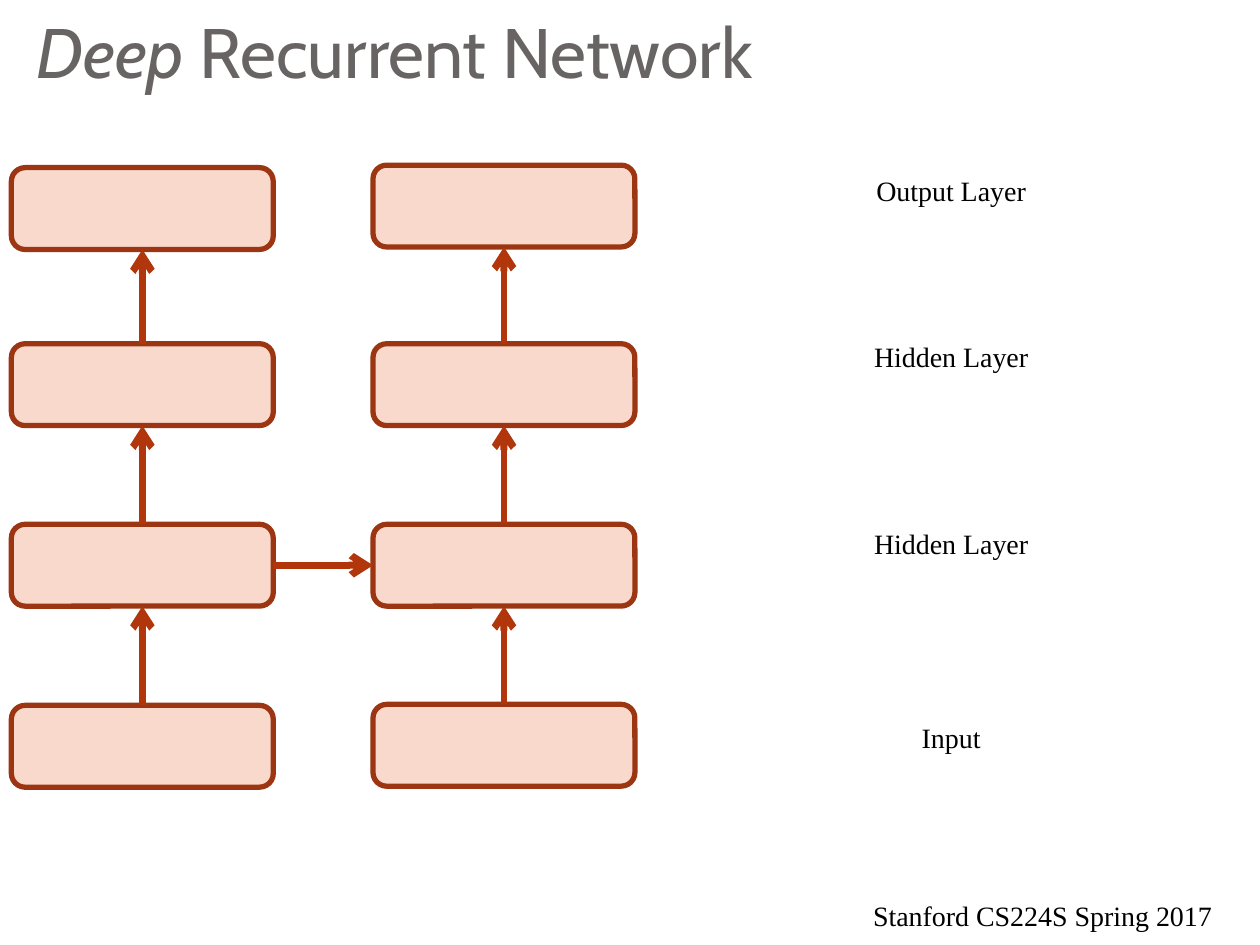
from itertools import pairwise
from lxml.etree import SubElement
from pptx import Presentation
from pptx.dml.color import RGBColor as RGB
from pptx.enum.shapes import MSO_CONNECTOR as LINK, MSO_SHAPE as SHAPE
from pptx.enum.text import MSO_ANCHOR as ANCHOR, MSO_AUTO_SIZE as FIT, PP_ALIGN as ALIGN
from pptx.oxml.ns import qn
from pptx.util import Cm, Pt

COLORS = {"title": "696464", "text": "000000", "fill": "FAD9CD",
          "edge": "9C3511", "arrow": "B1360B"}
TITLE = {"name": "Cabin", "size": Pt(40), "bold": False}
LABEL = {"name": "Times New Roman", "size": Pt(16)}

# Layer boxes: left edge and tops of each column, output first
WIDE, HIGH = 5.28, 1.65
COLS = [(0.23, (3.38, 6.93, 10.57, 14.22)),
        (7.52, (3.33, 6.93, 10.57, 14.2))]
LABELS = [("Output Layer", 3.38), ("Hidden Layer", 6.73),
          ("Hidden Layer", 10.49), ("Input", 14.4)]


def style(font, look, color):
    for key, value in look.items():
        setattr(font, key, value)
    font.color.rgb = RGB.from_string(COLORS[color])


def add_title(slide):
    title = slide.shapes.title
    title.left, title.top, title.width, title.height = Cm(0.48), Cm(0), Cm(24.46), Cm(2.11)
    frame = title.text_frame
    look = {"auto_size": FIT.NONE, "word_wrap": True, "vertical_anchor": ANCHOR.BOTTOM,
            "margin_left": Cm(0.25), "margin_right": Cm(0.25),
            "margin_top": Cm(0.13), "margin_bottom": Cm(0.25)}
    for key, value in look.items():
        setattr(frame, key, value)
    para = frame.paragraphs[0]
    para.alignment = ALIGN.LEFT
    for text, slant in (("Deep ", True), ("Recurrent Network", False)):
        run = para.add_run()
        run.text = text
        style(run.font, TITLE | {"italic": slant}, "title")


def add_label(slide, text, left, top, width, align):
    box = slide.shapes.add_textbox(Cm(left), Cm(top), Cm(width), Cm(1))
    frame = box.text_frame
    frame.word_wrap = True
    para = frame.paragraphs[0]
    para.alignment = align
    run = para.add_run()
    run.text = text
    style(run.font, LABEL, "text")


def add_box(slide, left, top):
    box = slide.shapes.add_shape(SHAPE.ROUNDED_RECTANGLE, Cm(left), Cm(top), Cm(WIDE), Cm(HIGH))
    box.shadow.inherit = False
    box.fill.solid()
    box.fill.fore_color.rgb = RGB.from_string(COLORS["fill"])
    box.line.color.rgb = RGB.from_string(COLORS["edge"])
    box.line.width = Pt(3)
    return box


def add_arrow(slide, start, out, end, side):
    arrow = slide.shapes.add_connector(LINK.STRAIGHT, 0, 0, 0, 0)
    arrow.begin_connect(start, out)
    arrow.end_connect(end, side)
    arrow.line.color.rgb = RGB.from_string(COLORS["arrow"])
    arrow.line.width = Pt(4)
    SubElement(arrow.line._get_or_add_ln(), qn("a:tailEnd"), type="arrow")
    SubElement(arrow._element.spPr, qn("a:effectLst"))


def main():
    deck = Presentation()
    deck.slide_width, deck.slide_height = Cm(25.4), Cm(19.05)
    slide = deck.slides.add_slide(deck.slide_layouts[5])
    add_title(slide)

    # Network: arrows rise through each column, one step links the columns
    stacks = [[add_box(slide, left, top) for top in tops] for left, tops in COLS]
    for stack in stacks:
        for upper, lower in pairwise(stack):
            add_arrow(slide, lower, 0, upper, 2)
    add_arrow(slide, stacks[0][2], 3, stacks[1][2], 1)

    # Layer names and course line
    for text, top in LABELS:
        add_label(slide, text, 17.17, top, 4.01, ALIGN.CENTER)
    add_label(slide, "Stanford CS224S Spring 2017", 17.35, 17.98, 8.05, ALIGN.LEFT)

    deck.save("out.pptx")


if __name__ == "__main__":
    main()
